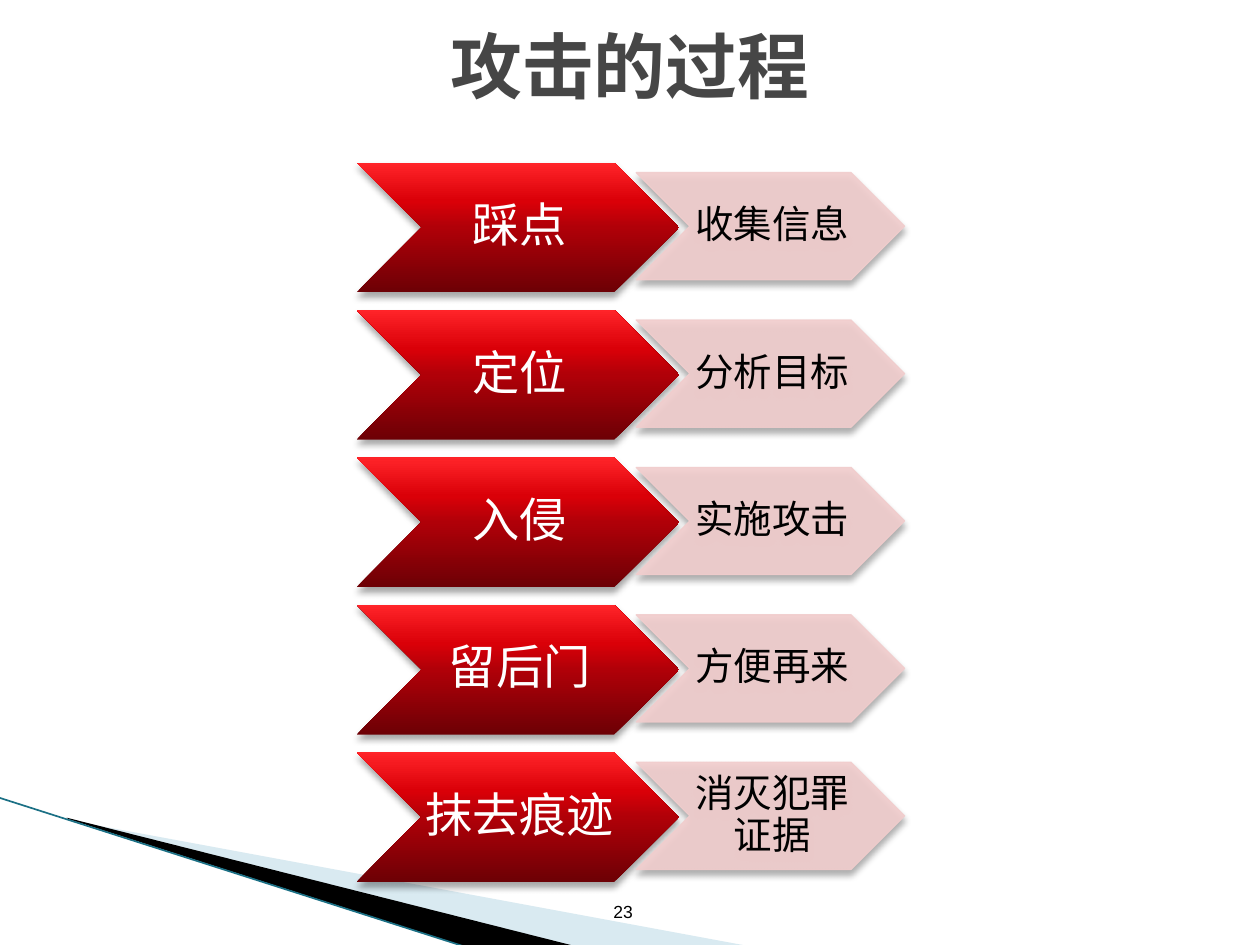
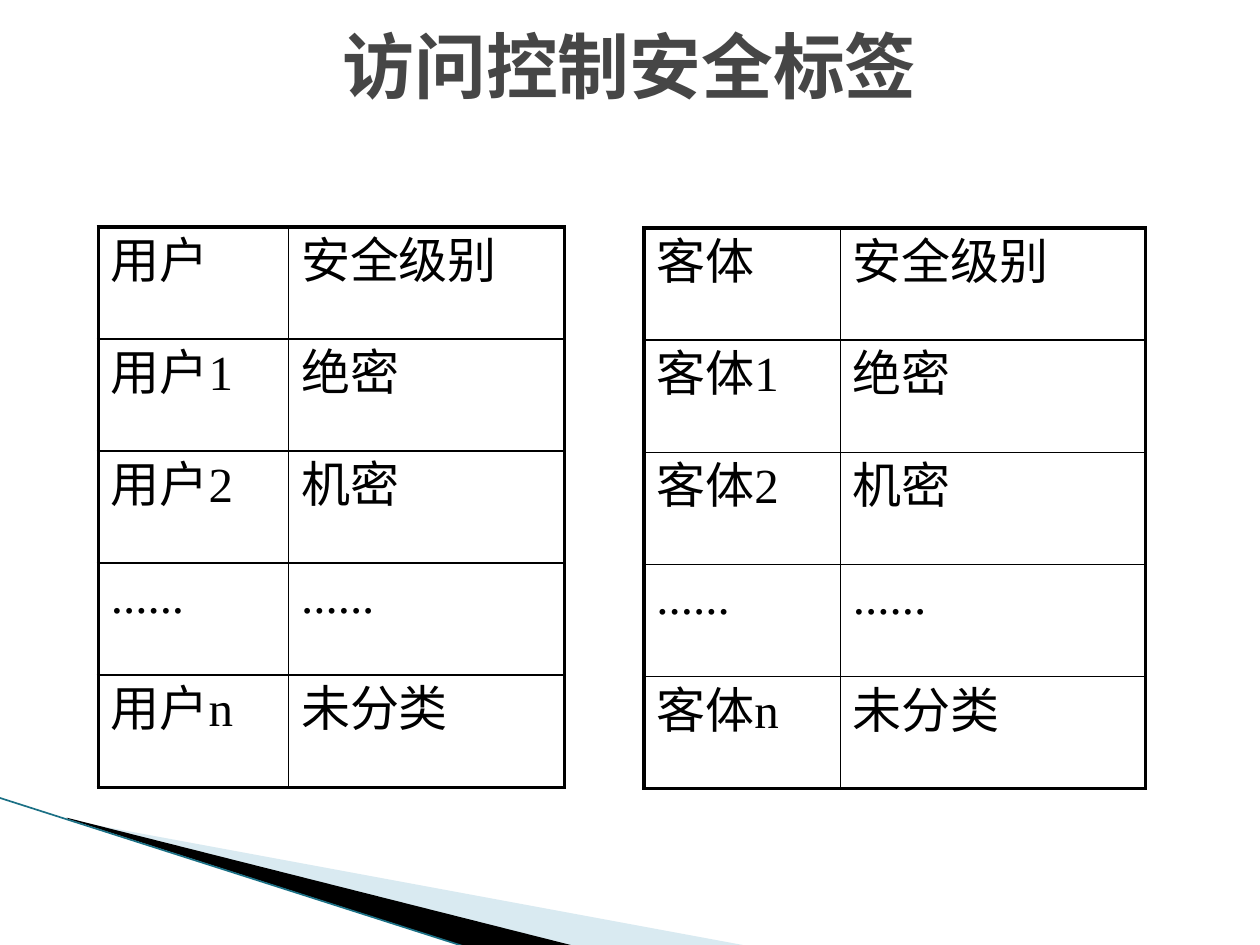
from lxml import etree
from pptx import Presentation
from pptx.dml.color import RGBColor
from pptx.enum import shapes, text
from pptx.oxml import ns, parse_xml
from pptx.util import Inches, Pt

BLACK = RGBColor(0, 0, 0)
WHITE = RGBColor(255, 255, 255)
GREY = RGBColor(0x46, 0x46, 0x46)
PINK = RGBColor(0xF1, 0xCD, 0xCD)
SKY = RGBColor(0xA0, 0xCB, 0xDC)
TEAL = RGBColor(0x1B, 0x70, 0x85)
REDS = [(0, "6D0005"), (50, "B00008"), (70, "DA0008"), (100, "FF2429")]

SANS = "DejaVu Sans Mono"
SERIF = "Times New Roman"
XMLNS = f'xmlns:a="{ns.nsuri("a")}"'

STEPS = [
    ("踩点", "收集信息"),
    ("定位", "分析目标"),
    ("入侵", "实施攻击"),
    ("留后门", "方便再来"),
    ("抹去痕迹", "消灭犯罪证据"),
]
LEVELS = ["安全级别", "绝密", "机密", "......", "未分类"]


def write(frame, words, size, color, font=SANS, bold=False, center=True):
    """Fill a text frame with one styled paragraph."""
    frame.text = words
    frame.word_wrap = True
    para = frame.paragraphs[0]
    if center:
        para.alignment = text.PP_ALIGN.CENTER
    run = para.runs[0]
    run.font.name, run.font.size = font, Pt(size)
    run.font.bold, run.font.color.rgb = bold, color
    east = etree.SubElement(run.font._element, ns.qn("a:ea"))
    east.set("typeface", SANS)
    return para


def add_text(slide, words, box, size, color, **style):
    frame = slide.shapes.add_textbox(*map(Inches, box)).text_frame
    write(frame, words, size, color, **style)
    return frame


def add_wedge(slide, box, points, color):
    """Add an outline whose points may lie outside its frame."""
    spots = [(Inches(x), Inches(y)) for x, y in points]
    pen = slide.shapes.build_freeform(*spots[0])
    pen.add_line_segments(spots[1:], close=True)
    wedge = pen.convert_to_shape()
    wedge.shadow.inherit = False
    wedge.fill.solid()
    wedge.fill.fore_color.rgb = color
    wedge.line.fill.background()
    reframe(wedge, *map(Inches, box))
    return wedge


def reframe(wedge, left, top, width, height):
    """Change the frame of an outline but leave its points in place."""
    geom = wedge._element.spPr
    for spot in geom.iter(ns.qn("a:pt")):
        spot.set("x", str(int(spot.get("x")) + wedge.left - left))
        spot.set("y", str(int(spot.get("y")) + wedge.top - top))
    for track in geom.iter(ns.qn("a:path")):
        track.set("w", str(width))
        track.set("h", str(height))
    wedge.left, wedge.top = left, top
    wedge.width, wedge.height = width, height


def fade(shape, percent):
    """Make every plain colour of the shape partly transparent."""
    for tone in shape._element.spPr.iter(ns.qn("a:srgbClr")):
        alpha = etree.SubElement(tone, ns.qn("a:alpha"))
        alpha.set("val", str(percent * 1000))


def add_base(deck, title):
    """Add a slide with the corner wedges and the title."""
    slide = deck.slides.add_slide(deck.slide_layouts[6])
    pale = add_wedge(slide, (0.78, 5.47, 4.16, 1.58),
                     [(0.55, 6.51), (5.95, 7.51), (4.56, 7.51), (0.55, 6.5)],
                     SKY)
    fade(pale, 40)
    add_wedge(slide, (-0.06, 6.33, 4.16, 0.92),
              [(0.53, 6.49), (4.57, 7.51), (3.72, 7.52), (0.54, 6.5)], BLACK)
    edge = slide.shapes.add_connector(
        shapes.MSO_CONNECTOR.STRAIGHT,
        Inches(-0.01), Inches(6.33), Inches(3.71), Inches(7.52))
    edge.line.color.rgb, edge.line.width = TEAL, Pt(0.95)
    etree.SubElement(edge._element.spPr, ns.qn("a:effectLst"))
    frame = add_text(slide, title, (0.2, 0.05, 9.6, 0.93), 41, GREY, bold=True)
    frame.vertical_anchor = text.MSO_ANCHOR.MIDDLE
    return slide


def add_arrow(slide, words, box, size, color):
    """Add a chevron with its label; its fill is set by the caller."""
    arrow = slide.shapes.add_shape(
        shapes.MSO_SHAPE.CHEVRON, *map(Inches, box))
    frame = arrow.text_frame
    para = write(frame, words, size, color)
    para.line_spacing = 0.9
    frame.vertical_anchor = text.MSO_ANCHOR.MIDDLE
    frame.margin_left, frame.margin_right = Inches(0.03), 0
    frame.margin_top = frame.margin_bottom = Inches(0.02)
    return arrow


def add_shadow(shape):
    shape._element.spPr.append(parse_xml(
        f'<a:effectLst {XMLNS}><a:outerShdw blurRad="{Pt(4)}" '
        f'dist="{Pt(3)}" dir="5400000" rotWithShape="0">'
        '<a:srgbClr val="000000"><a:alpha val="35000"/></a:srgbClr>'
        '</a:outerShdw></a:effectLst>'))


def fill_red(shape):
    stops = "".join(
        f'<a:gs pos="{spot * 1000}"><a:srgbClr val="{tone}"/></a:gs>'
        for spot, tone in REDS)
    shape.line.fill.background()
    shape._element.spPr.find(ns.qn("a:prstGeom")).addnext(parse_xml(
        f'<a:gradFill {XMLNS} rotWithShape="1"><a:gsLst>{stops}</a:gsLst>'
        '<a:lin ang="16200000" scaled="0"/></a:gradFill>'))


def fill_pink(shape):
    shape.fill.solid()
    shape.fill.fore_color.rgb = PINK
    shape.line.color.rgb, shape.line.width = PINK, Pt(0.75)
    fade(shape, 90)


def add_step(slide, top, name, goal):
    red = add_arrow(slide, name, (2.83, top, 2.56, 1.03), 27, WHITE)
    fill_red(red)
    pink = add_arrow(slide, goal, (5.05, top + 0.08, 2.13, 0.85), 22, BLACK)
    fill_pink(pink)
    for arrow in (red, pink):
        add_shadow(arrow)


def set_edges(cell, widths):
    """Draw the left, right, top and bottom borders of a cell."""
    props = cell._tc.get_or_add_tcPr()
    for spot, (side, width) in enumerate(zip("LRTB", widths)):
        props.insert(spot, parse_xml(
            f'<a:ln{side} {XMLNS} w="{Pt(width)}"><a:solidFill>'
            f'<a:srgbClr val="{BLACK}"/></a:solidFill></a:ln{side}>'))


def add_grid(slide, left, top, cols, kind):
    names = [kind, kind + "1", kind + "2", "......", kind + "n"]
    rows = list(zip(names, LEVELS))
    high = 0.89
    grid = slide.shapes.add_table(
        len(rows), len(cols), Inches(left), Inches(top),
        Inches(sum(cols)), Inches(high * len(rows))).table
    grid.first_row = grid.horz_banding = False
    for col, width in zip(grid.columns, cols):
        col.width = Inches(width)
    for r, row in enumerate(rows):
        grid.rows[r].height = Inches(high)
        for c, words in enumerate(row):
            cell = grid.cell(r, c)
            write(cell.text_frame, words, 28, BLACK, SERIF, center=False)
            cell.fill.background()
            outer = (c == 0, c == len(cols) - 1, r == 0, r == len(rows) - 1)
            set_edges(cell, [2.25 if out else 1 for out in outer])


def main():
    deck = Presentation()
    deck.slide_width, deck.slide_height = Inches(10), Inches(7.5)

    attack = add_base(deck, "攻击的过程")
    for i, (name, goal) in enumerate(STEPS):
        add_step(attack, 1.29 + 1.17 * i, name, goal)
    add_text(attack, "23", (3.78, 7.1, 2.33, 0.4), 10, BLACK, font="Arial")

    labels = add_base(deck, "访问控制安全标签")
    add_grid(labels, 0.78, 1.8, (1.51, 2.19), "用户")
    add_grid(labels, 5.11, 1.81, (1.56, 2.42), "客体")

    deck.save("out.pptx")


if __name__ == "__main__":
    main()
